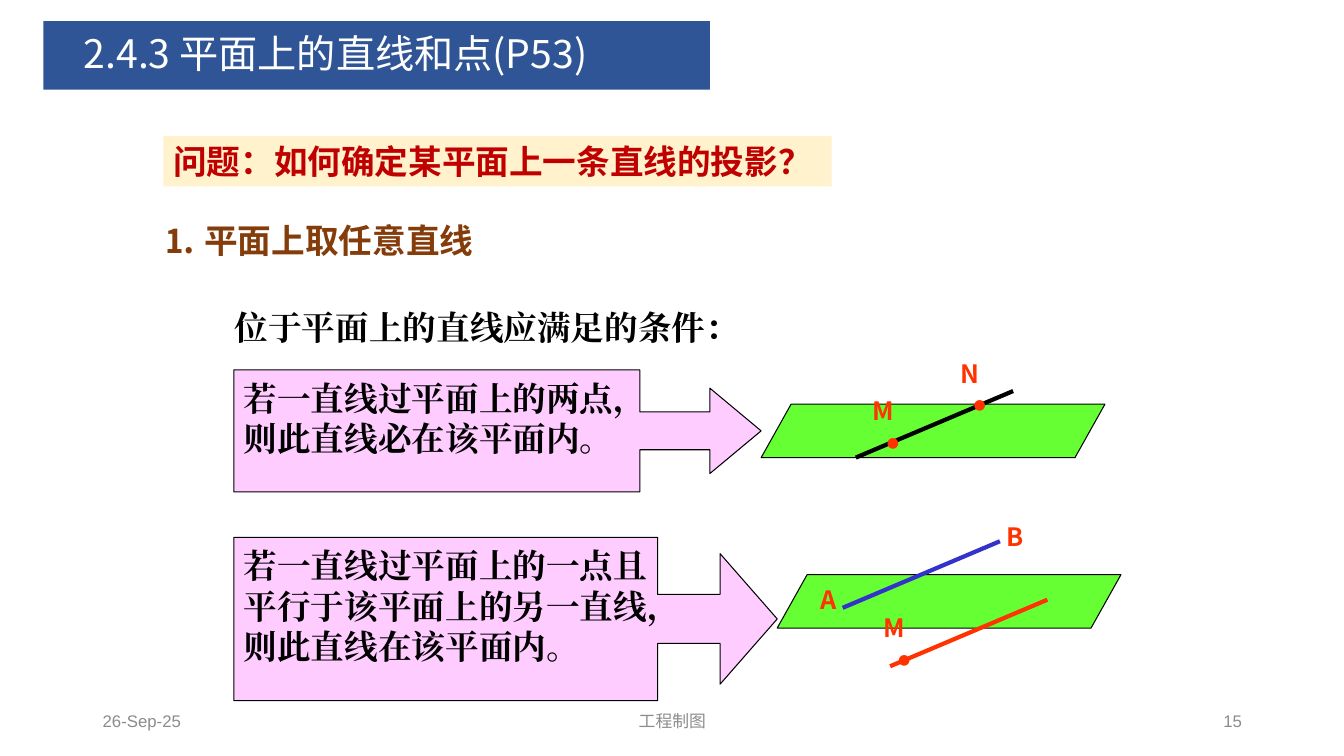
import pptx
import pptx.util
import pptx.dml.color
import pptx.enum.shapes
import pptx.enum.text
import pptx.oxml
import pptx.oxml.ns

SHAPE = pptx.enum.shapes.MSO_SHAPE
ALIGN = pptx.enum.text.PP_ALIGN
ANCHOR = pptx.enum.text.MSO_ANCHOR
WIDTH, HEIGHT = pptx.util.Inches(13.33), pptx.util.Inches(7.5)
SANS, SERIF = "Noto Sans CJK SC", "Times New Roman"
COLORS = {
    "black": "000000", "white": "FFFFFF", "brown": "843C0B",
    "crimson": "C00000", "cream": "FFF2CC", "navy": "2F5597",
    "green": "66FF33", "pink": "FFCCFF", "red": "FF3300",
    "blue": "3333CC", "gray": "8C8C8C",
}


def rgb(name):
    return pptx.dml.color.RGBColor.from_string(COLORS[name])


def across(share):
    """Percent of the slide width."""
    return round(WIDTH * share / 100)


def down(share):
    """Percent of the slide height."""
    return round(HEIGHT * share / 100)


def box(x, y, w, h):
    return across(x), down(y), across(w), down(h)


def write(sp, text, size, font, color, bold=False, align=ALIGN.LEFT, anchor=ANCHOR.MIDDLE):
    tf = sp.text_frame
    tf.word_wrap = True
    tf.auto_size = pptx.enum.text.MSO_AUTO_SIZE.NONE
    tf.vertical_anchor = anchor
    p = tf.paragraphs[0]
    p.alignment = align
    r = p.add_run()
    r.text = text
    r.font.size = pptx.util.Pt(size)
    r.font.bold = bold
    r.font.name = font
    r.font.color.rgb = rgb(color)
    ea = pptx.oxml.parse_xml(f'<a:ea {pptx.oxml.ns.nsdecls("a")} typeface="{font}"/>')
    r.font._element.find(pptx.oxml.ns.qn("a:latin")).addnext(ea)
    return p


def add_text(s, area, *args, **kwargs):
    return write(s.shapes.add_textbox(*box(*area)), *args, **kwargs)


def add_filled(s, kind, area, fill, outlined=True, adjustments=()):
    sp = s.shapes.add_shape(kind, *box(*area))
    sp.shadow.inherit = False
    sp.fill.solid()
    sp.fill.fore_color.rgb = rgb(fill)
    if outlined:
        sp.line.color.rgb = rgb("black")
        sp.line.width = pptx.util.Pt(0.75)
    else:
        sp.line.fill.background()
    for i, value in enumerate(adjustments):
        sp.adjustments[i] = value
    return sp


def add_plane(s, x, y):
    add_filled(s, SHAPE.PARALLELOGRAM, (x, y, 25.58, 7.07), "green", adjustments=[0.56])


def add_slanted_line(s, x, y, color):
    # All lines share one slope and length, so they stay parallel
    line = s.shapes.add_connector(
        pptx.enum.shapes.MSO_CONNECTOR.STRAIGHT,
        across(x), down(y), across(x + 11.7), down(y - 8.8))
    line.line.color.rgb = rgb(color)
    line.line.width = pptx.util.Pt(3)
    line._element.spPr.append(
        pptx.oxml.parse_xml(f'<a:effectLst {pptx.oxml.ns.nsdecls("a")}/>'))


def add_point(s, x, y):
    add_text(s, (x, y, 2.55, 3.6), "●", 10, "Cambria", "red", anchor=ANCHOR.TOP)


def add_letter(s, x, y, letter):
    add_text(s, (x, y, 2.48, 5.33), letter, 18, SANS, "red", bold=True, anchor=ANCHOR.TOP)


def add_condition(s, area, text, adjustments):
    sp = add_filled(s, SHAPE.RIGHT_ARROW_CALLOUT, area, "pink", adjustments=adjustments)
    sp.text_frame.margin_top = pptx.util.Inches(0.08)
    p = write(sp, text, 24, SERIF, "black", bold=True, anchor=ANCHOR.TOP)
    p._p.get_or_add_pPr().set("hangingPunct", "1")


def add_title(s, text):
    sp = s.shapes.title
    sp.left, sp.top, sp.width, sp.height = box(3.23, 2.8, 49.58, 9.07)
    sp.fill.solid()
    sp.fill.fore_color.rgb = rgb("navy")
    p = write(sp, text, 28, SANS, "white")
    p.line_spacing = 0.9
    pPr = p._p.get_or_add_pPr()
    pPr.set("marL", str(pptx.util.Inches(0.3)))
    pPr.set("indent", "0")


def main():
    prs = pptx.Presentation()
    prs.slide_width, prs.slide_height = WIDTH, HEIGHT
    s = prs.slides.add_slide(prs.slide_layouts[5])

    # Title, question and headings
    add_title(s, "2.4.3 平面上的直线和点(P53)")
    question = add_filled(s, SHAPE.RECTANGLE, (12.15, 18, 49.73, 6.67), "cream", outlined=False)
    write(question, "问题：如何确定某平面上一条直线的投影？", 24, SANS, "crimson", bold=True)
    add_text(s, (11.4, 28.4, 25.65, 6.67), "⒈ 平面上取任意直线", 24, SANS, "brown", bold=True)
    add_text(s, (16.73, 39.87, 39.38, 6.67), "位于平面上的直线应满足的条件：",
             24, SERIF, "black", bold=True)

    # Line through two points of the plane
    add_plane(s, 56.63, 53.47)
    add_slanted_line(s, 63.68, 60.53, "black")
    add_point(s, 71.7, 51.6)
    add_point(s, 65.25, 56.67)
    add_letter(s, 64.2, 51.6, "M")
    add_letter(s, 70.73, 46.67, "N")

    # Line through one point, parallel to AB
    add_plane(s, 57.83, 76)
    add_slanted_line(s, 62.7, 80.4, "blue")
    add_letter(s, 60.3, 76.67, "A")
    add_letter(s, 74.18, 68.27, "B")
    add_point(s, 66.08, 85.33)
    add_letter(s, 65.03, 80.4, "M")
    add_slanted_line(s, 66.23, 88.13, "red")

    # Conditions
    add_condition(s, (17.4, 48.93, 39.23, 16.13),
                  "若一直线过平面上的两点，则此直线必在该平面内。", [0.31, 0.35, 0.42, 0.77])
    add_condition(s, (17.4, 71.07, 40.43, 21.6),
                  "若一直线过平面上的一点且平行于该平面上的另一直线，则此直线在该平面内。",
                  [0.3, 0.4, 0.35, 0.78])

    # Footer
    for x, w, text, align in [(6.9, 22.5, "26-Sep-25", ALIGN.LEFT),
                              (33.15, 33.75, "工程制图", ALIGN.CENTER),
                              (70.65, 22.5, "15", ALIGN.RIGHT)]:
        add_text(s, (x, 92.67, w, 5.33), text, 12, "Arial", "gray", align=align)

    prs.save("out.pptx")


if __name__ == "__main__":
    main()
